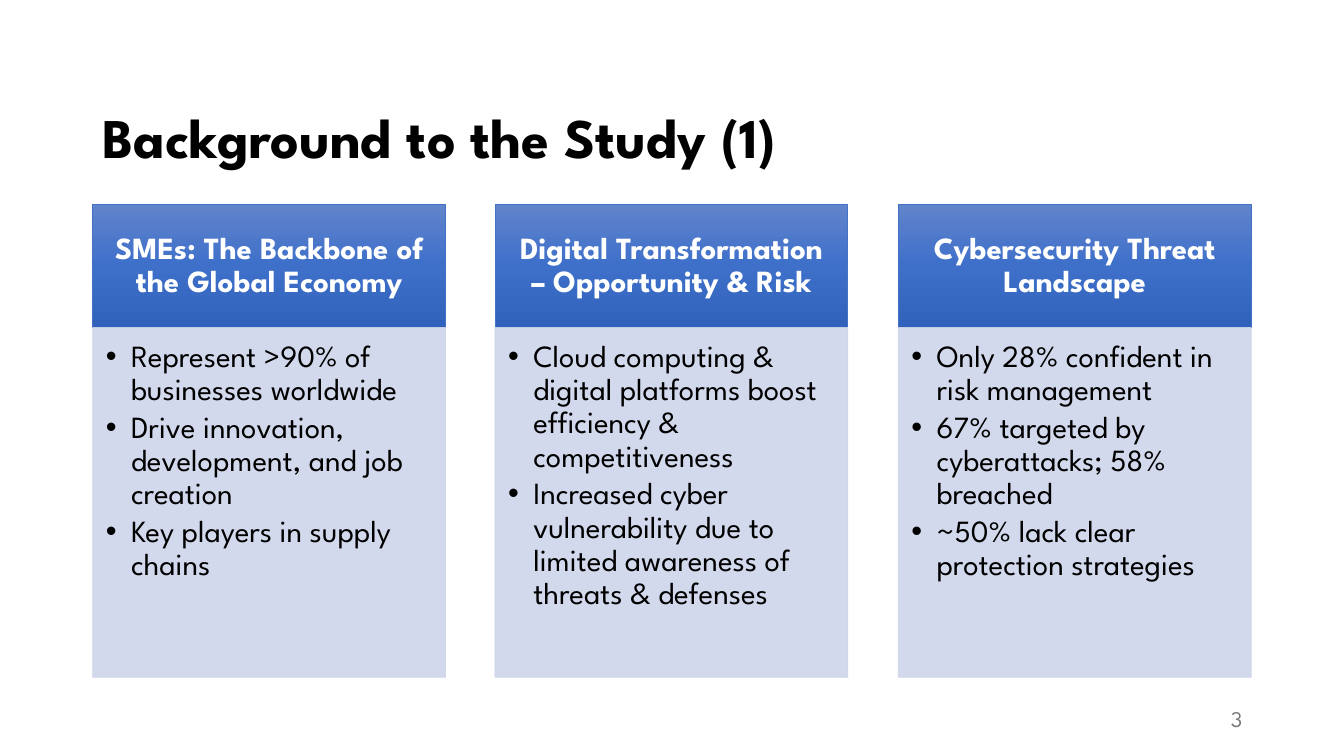
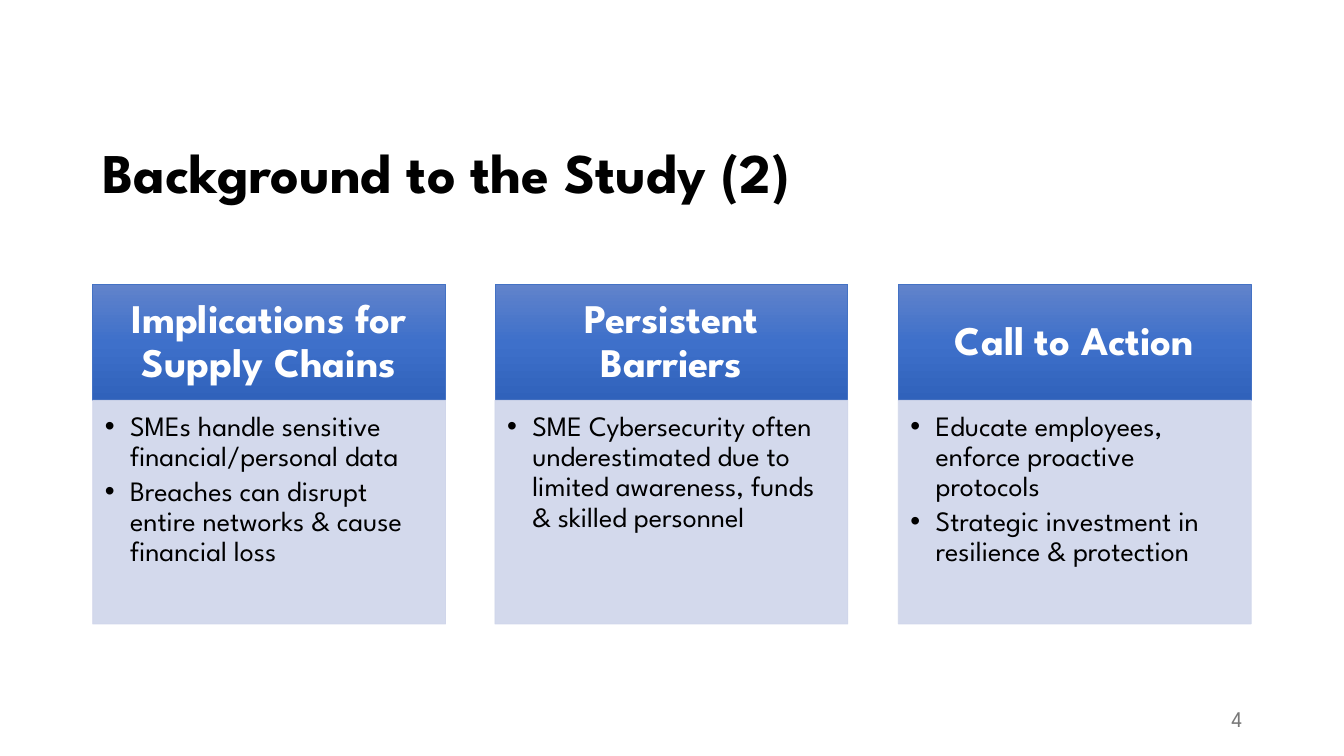
from copy import deepcopy
from dataclasses import dataclass

from lxml.etree import SubElement
from pptx import Presentation
from pptx.dml.color import RGBColor
from pptx.enum.shapes import MSO_SHAPE
from pptx.enum.text import MSO_ANCHOR, PP_ALIGN
from pptx.oxml.ns import qn
from pptx.util import Pt

PX = 9144
LEFT, CONTENT_WIDTH, CARD_WIDTH = 92, 1149, 350
BULLET_INDENT = 25


@dataclass(frozen=True)
class Theme:
    font: str = "League Spartan"
    ink: str = "000000"
    header_text: str = "FFFFFF"
    header_stops: tuple = ("6183CB", "3E70CA", "3062BB")
    header_line: str = "4472C4"
    panel: str = "CFD5EA"
    panel_opacity: int = 90
    muted: str = "797979"
    title_size: int = 40
    number_size: int = 16
    line_width: float = 0.5
    line_spacing: float = 0.9
    bullet_gap: float = 0.15


@dataclass(frozen=True)
class CardStyle:
    top: int
    header_height: int
    body_height: int
    header_size: int
    body_size: int
    header_insets: tuple
    body_insets: tuple


class SlideBuilder:
    """Draws themed elements on the current slide of a deck."""

    def __init__(self, theme):
        self.theme = theme
        self.deck = Presentation()
        self.deck.slide_width = 1333 * PX
        self.deck.slide_height = 750 * PX
        self.page = None

    def new_page(self):
        self.page = self.deck.slides.add_slide(self.deck.slide_layouts[6])

    def set_text(self, shape, lines, size, color, bold=False, align=PP_ALIGN.LEFT,
                 anchor=MSO_ANCHOR.MIDDLE, insets=(10, 5, 10, 5), bulleted=False):
        frame = shape.text_frame
        frame.word_wrap = True
        frame.vertical_anchor = anchor
        (frame.margin_left, frame.margin_top,
         frame.margin_right, frame.margin_bottom) = (inset * PX for inset in insets)
        frame.text = "\n".join(lines)
        for para in frame.paragraphs:
            if bulleted:
                self.add_bullet(para)
                para.space_after = Pt(size * self.theme.bullet_gap)
            para.alignment = align
            para.line_spacing = self.theme.line_spacing
            for span in para.runs:
                span.font.name = self.theme.font
                span.font.size = Pt(size)
                span.font.bold = bold
                span.font.color.rgb = RGBColor.from_string(color)

    def add_bullet(self, para):
        properties = para._p.get_or_add_pPr()
        properties.set("marL", str(BULLET_INDENT * PX))
        properties.set("indent", str(-BULLET_INDENT * PX))
        SubElement(properties, qn("a:buFont")).set("typeface", "Arial")
        SubElement(properties, qn("a:buChar")).set("char", "•")

    def text_box(self, left, top, width, height, text, size, color, **style):
        box = self.page.shapes.add_textbox(left * PX, top * PX, width * PX, height * PX)
        self.set_text(box, [text], size, color, **style)

    def rectangle(self, left, top, width, height, line_color):
        box = self.page.shapes.add_shape(
            MSO_SHAPE.RECTANGLE, left * PX, top * PX, width * PX, height * PX)
        box.shadow.inherit = False
        box.line.width = Pt(self.theme.line_width)
        box.line.color.rgb = RGBColor.from_string(line_color)
        return box

    def fill_header(self, box):
        colors = self.theme.header_stops
        box.fill.gradient()
        box.fill.gradient_angle = 270
        stops = box._element.spPr.find(qn("a:gradFill")).find(qn("a:gsLst"))
        stops.append(deepcopy(stops[0]))
        for index, stop in enumerate(box.fill.gradient_stops):
            stop.position = index / (len(colors) - 1)
            stop.color.rgb = RGBColor.from_string(colors[index])

    def fill_panel(self, box):
        box.fill.solid()
        box.fill.fore_color.rgb = RGBColor.from_string(self.theme.panel)
        for color in box._element.spPr.iter(qn("a:srgbClr")):
            SubElement(color, qn("a:alpha")).set("val", str(self.theme.panel_opacity * 1000))

    def title(self, text, top):
        self.text_box(LEFT, top, 1150, 92, text, self.theme.title_size,
                      self.theme.ink, bold=True)

    def page_number(self, number):
        self.text_box(942, 695, 300, 40, str(number), self.theme.number_size,
                      self.theme.muted, align=PP_ALIGN.RIGHT)

    def card(self, left, heading, bullets, style):
        header = self.rectangle(left, style.top, CARD_WIDTH, style.header_height,
                                self.theme.header_line)
        self.fill_header(header)
        self.set_text(header, [heading], style.header_size, self.theme.header_text,
                      bold=True, align=PP_ALIGN.CENTER, insets=style.header_insets)
        body = self.rectangle(left, style.top + style.header_height, CARD_WIDTH,
                              style.body_height, self.theme.panel)
        self.fill_panel(body)
        self.set_text(body, bullets, style.body_size, self.theme.ink,
                      anchor=MSO_ANCHOR.TOP, insets=style.body_insets, bulleted=True)

    def card_row(self, cards, style):
        for index, (heading, bullets) in enumerate(cards):
            offset = index * (CONTENT_WIDTH - CARD_WIDTH) // (len(cards) - 1)
            self.card(LEFT + offset, heading, bullets, style)


PAGES = [
    (3, "Background to the Study (1)", 93,
     CardStyle(203, 122, 347, 22, 22, (17, 10, 17, 10), (13, 13, 17, 19)),
     [("SMEs: The Backbone of the Global Economy",
       ["Represent >90% of businesses worldwide",
        "Drive innovation, development, and job creation",
        "Key players in supply chains"]),
      ("Digital Transformation – Opportunity & Risk",
       ["Cloud computing & digital platforms boost efficiency & competitiveness",
        "Increased cyber vulnerability due to limited awareness of threats & defenses"]),
      ("Cybersecurity Threat Landscape",
       ["Only 28% confident in risk management",
        "67% targeted by cyberattacks; 58% breached",
        "~50% lack clear protection strategies"])]),
    (4, "Background to the Study (2)", 128,
     CardStyle(282, 115, 222, 29, 20, (23, 13, 23, 13), (12, 12, 16, 17)),
     [("Implications for Supply Chains",
       ["SMEs handle sensitive financial/personal data",
        "Breaches can disrupt entire networks & cause financial loss"]),
      ("Persistent Barriers",
       ["SME Cybersecurity often underestimated due to limited awareness, "
        "funds & skilled personnel"]),
      ("Call to Action",
       ["Educate employees, enforce proactive protocols",
        "Strategic investment in resilience & protection"])]),
]


def main():
    builder = SlideBuilder(Theme())
    for number, title, title_top, style, cards in PAGES:
        builder.new_page()
        builder.title(title, title_top)
        builder.card_row(cards, style)
        builder.page_number(number)
    builder.deck.save("out.pptx")


if __name__ == "__main__":
    main()
